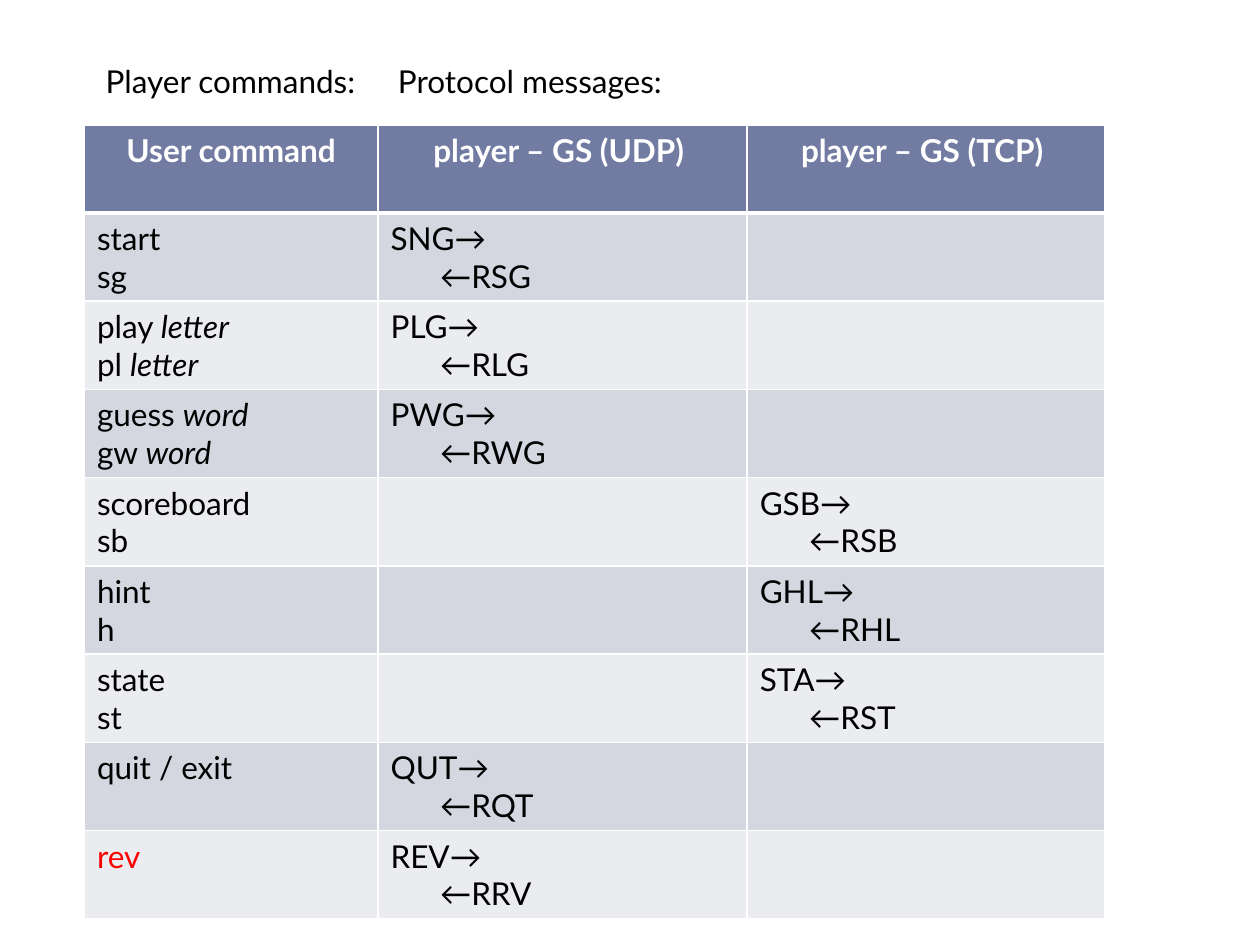
from lxml.etree import SubElement
from pptx import Presentation
from pptx.dml.color import RGBColor
from pptx.enum.text import PP_ALIGN
from pptx.oxml.ns import qn
from pptx.util import Inches, Pt


def add_span(para, text, color="000000", bold=False, italic=False):
    span = para.add_run()
    span.text = text
    font = span.font
    font.name, font.size, font.bold, font.italic = "Lato", Pt(18), bold, italic
    font.color.rgb = RGBColor.from_string(color)


def style_cell(cell, fill, bottom=1):
    cell.fill.solid()
    cell.fill.fore_color.rgb = RGBColor.from_string(fill)
    props = cell._tc.get_or_add_tcPr()
    for index, (side, width) in enumerate((("lnL", 1), ("lnR", 1), ("lnT", 1), ("lnB", bottom))):
        line = props.makeelement(qn(f"a:{side}"), {"w": str(Pt(width))})
        solid = SubElement(line, qn("a:solidFill"))
        SubElement(solid, qn("a:srgbClr"), val="FFFFFF")
        props.insert(index, line)


headers = ["User command", "player – GS (UDP) ", "player – GS (TCP) "]
widths = [2.33, 2.93, 2.84]
UDP, TCP = 1, 2
commands = [
    (["start", "sg"], "", UDP, "SNG", "RSG"),
    (["play", "pl"], "letter", UDP, "PLG", "RLG"),
    (["guess", "gw"], "word", UDP, "PWG", "RWG"),
    (["scoreboard", "sb"], "", TCP, "GSB", "RSB"),
    (["hint", "h"], "", TCP, "GHL", "RHL"),
    (["state", "st"], "", TCP, "STA", "RST"),
    (["quit / exit"], "", UDP, "QUT", "RQT"),
    (["rev"], "", UDP, "REV", "RRV"),
]

deck = Presentation()
deck.slide_width, deck.slide_height = Inches(10), Inches(7.5)
page = deck.slides.add_slide(deck.slide_layouts[6])

row_count = len(commands) + 1
frame = page.shapes.add_table(row_count, len(headers), Inches(0.67), Inches(0.99),
                              Inches(sum(widths)), Inches(0.7 * row_count))
table = frame.table
for column, width in zip(table.columns, widths):
    column.width = Inches(width)

for cell, header in zip(table.rows[0].cells, headers):
    style_cell(cell, "727CA3", bottom=3)
    para = cell.text_frame.paragraphs[0]
    para.alignment = PP_ALIGN.CENTER
    add_span(para, header, "FFFFFF", bold=True)

for row, (names, argument, channel, request, reply) in enumerate(commands, 1):
    for cell in table.rows[row].cells:
        style_cell(cell, "D5D7E0" if row % 2 else "EBECF0")

    para = table.cell(row, 0).text_frame.paragraphs[0]
    for index, name in enumerate(names):
        if index:
            para.add_line_break()
        add_span(para, f"{name} " if argument else name, "FF0000" if name == "rev" else "000000")
        if argument:
            add_span(para, argument, italic=True)

    text = table.cell(row, channel).text_frame
    add_span(text.paragraphs[0], f"{request}→")
    para = text.add_paragraph()
    para._p.get_or_add_pPr().set("marL", str(Inches(0.39)))
    add_span(para, f"←{reply}")

box = page.shapes.add_textbox(Inches(0.74), Inches(0.44), Inches(8.11), Inches(0.4))
box.text_frame.word_wrap = True
para = box.text_frame.paragraphs[0]
tabs = SubElement(para._p.get_or_add_pPr(), qn("a:tabLst"))
SubElement(tabs, qn("a:tab"), pos=str(Inches(2.32)), algn="l")
add_span(para, "Player commands:\tProtocol messages:")

deck.save("out.pptx")
